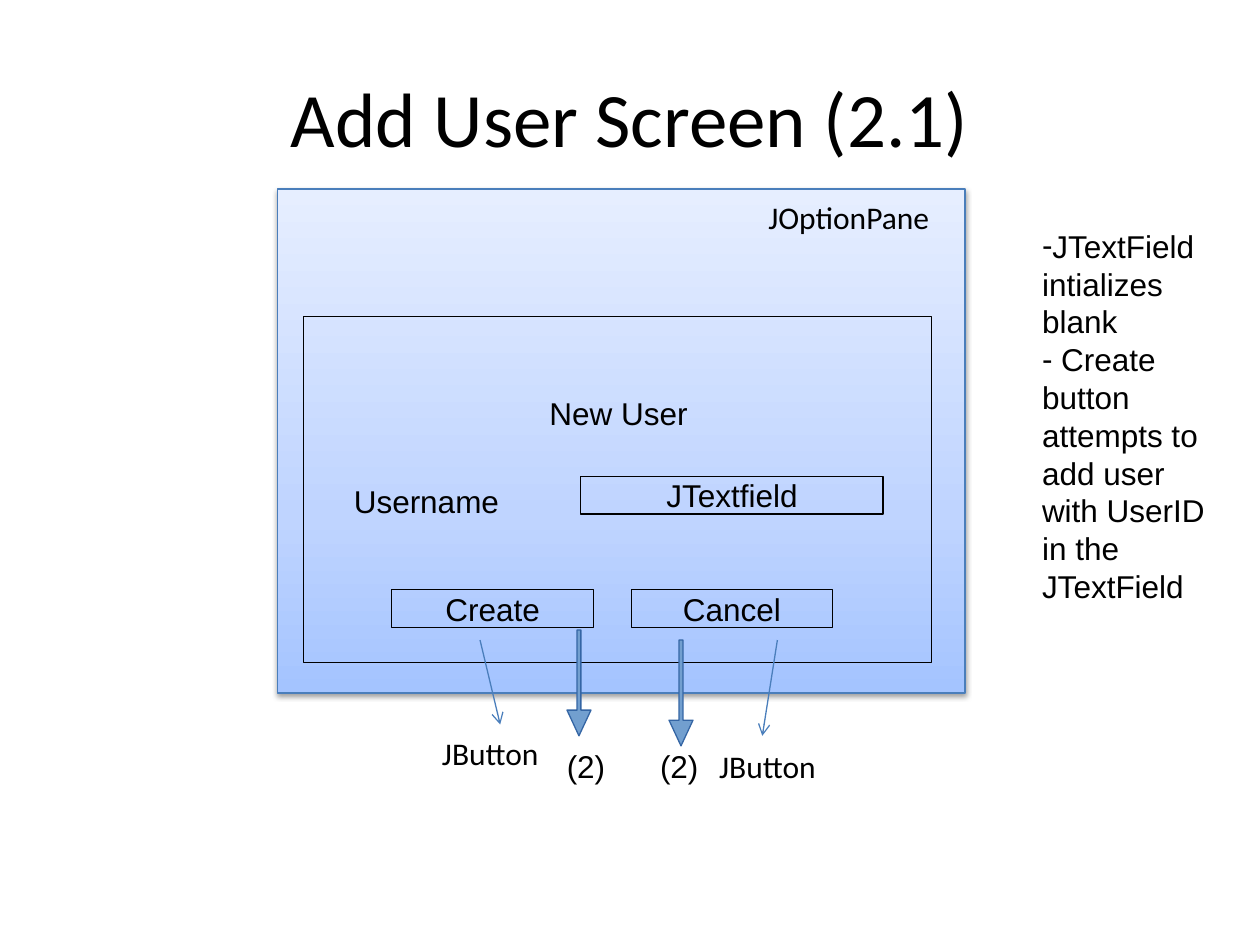
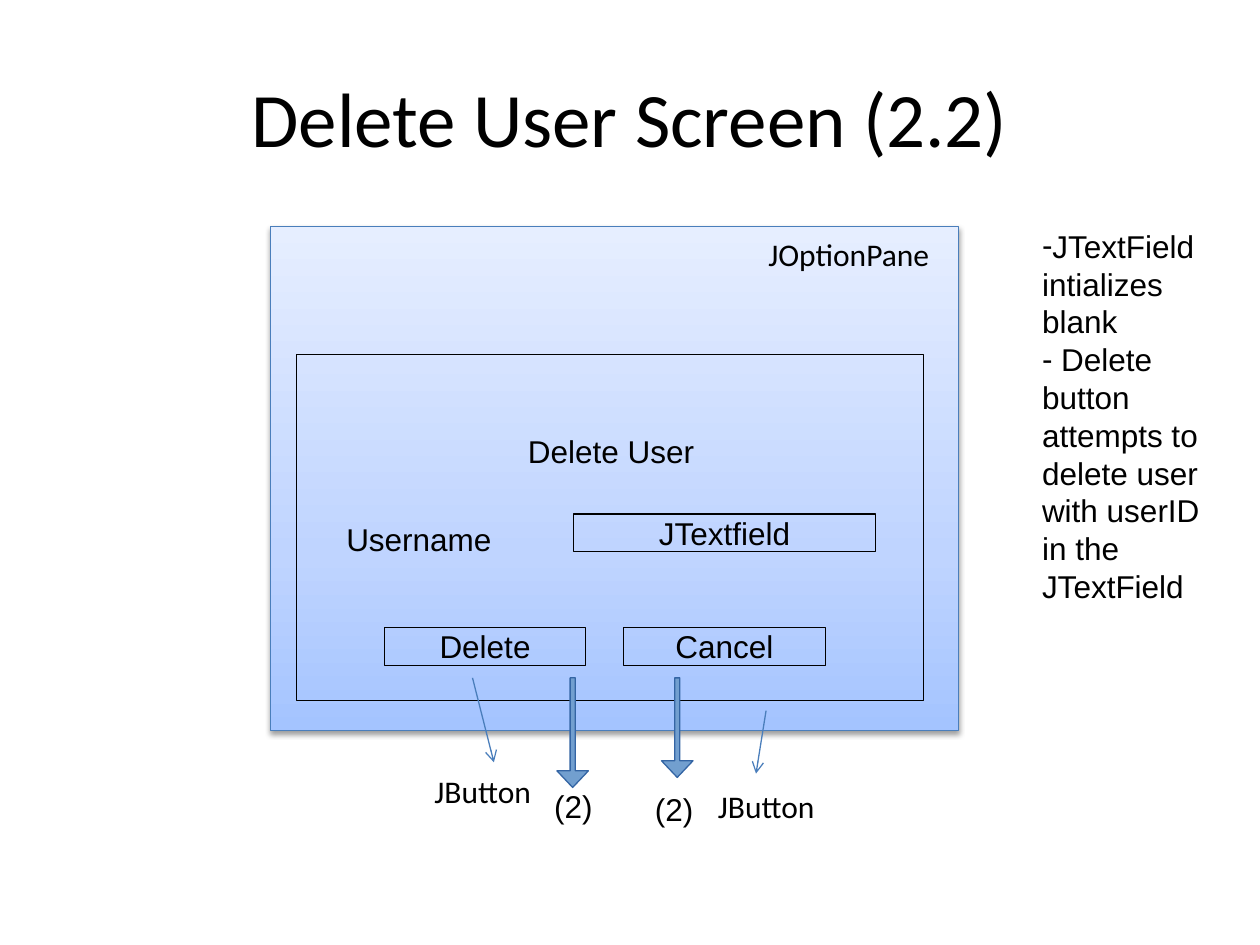
from copy import deepcopy
from pptx import Presentation
from pptx import util as u
from pptx.dml.color import RGBColor
from pptx.enum import shapes, text
from pptx.oxml import parse_xml
from pptx.oxml.ns import nsdecls, qn

prs = Presentation()
prs.slide_width, prs.slide_height = u.Inches(10), u.Inches(7.5)
COL, ROW = prs.slide_width / 100, prs.slide_height / 75
BLACK, EDGE, ARROW, ARROW_EDGE = "000000", "4A7EBB", "729FCF", "3465A4"
GRADIENT = [(0, "A4C4FF"), (0.35, "BFD4FF"), (1, "E6EEFF")]
SHADOW = (f'<a:effectLst {nsdecls("a")}><a:outerShdw blurRad="39370" dist="20320" dir="5400000" '
          'rotWithShape="0"><a:srgbClr val="000000"><a:alpha val="38000"/></a:srgbClr>'
          '</a:outerShdw></a:effectLst>')
rgb = RGBColor.from_string
LEFT, CENTER = text.PP_ALIGN.LEFT, text.PP_ALIGN.CENTER


def write(tf, lines, font="Arial", size=18, align=LEFT):
    for i, line in enumerate(lines):
        p = tf.paragraphs[0] if i == 0 else tf.add_paragraph()
        p.alignment = align
        r = p.add_run()
        r.text = line
        r.font.name, r.font.size = font, u.Pt(size)
        r.font.color.rgb = rgb(BLACK)


def add(s, kind, x, y, w, h, line=None, width=0.75, fill=None):
    box = [round(v) for v in (x * COL, y * ROW, w * COL, h * ROW)]
    if kind is None:
        sp = s.shapes.add_textbox(*box)
        sp.text_frame.word_wrap = True
        return sp
    sp = s.shapes.add_shape(kind, *box)
    sp.shadow.inherit = False
    sp.line.color.rgb, sp.line.width = rgb(line), u.Pt(width)
    if fill:
        sp.fill.solid()
        sp.fill.fore_color.rgb = rgb(fill)
    else:
        sp.fill.background()
    return sp


RECT, DOWN = shapes.MSO_SHAPE.RECTANGLE, shapes.MSO_SHAPE.DOWN_ARROW
screens = [
    dict(title="Add User Screen (2.1)", heading="New User", action="Create",
         note=" Create button attempts to add user with UserID in the JTextField",
         panel=(22, 15), origin=(24.1, 25.1), head=1.072,
         arrows=[(45, 50, 1.9, 8.4), (53.1, 50.8, 1.9, 8.4)],
         pointers=[(38.1, 50.8, 39.7, 57.5), (61.7, 50.8, 60.5, 58.4)],
         labels=[("JButton", 34.1, 57.8), ("JButton", 56.1, 58.8),
                 ("(2)", 44, 58.8), ("(2)", 51.4, 58.8)]),
    dict(title="Delete User Screen (2.2)", heading="Delete User", action="Delete",
         note=" Delete button attempts to delete user with userID in the JTextField",
         panel=(21.5, 18), origin=(23.5, 28.1), head=0.529,
         arrows=[(44.2, 53.8, 2.5, 8.7), (52.5, 53.8, 2.5, 7.9)],
         pointers=[(37.5, 53.8, 39.2, 60.5), (60.8, 56.4, 60, 61.4)],
         labels=[("JButton", 33.5, 60.8), ("JButton", 56, 62),
                 ("(2)", 43, 62), ("(2)", 51, 62.2)]),
]

for screen in screens:
    s = prs.slides.add_slide(prs.slide_layouts[1])
    title, notes = s.shapes.title, s.placeholders[1]

    title.left, title.top, title.width, title.height = [
        round(v) for v in (5 * COL, 3 * ROW, 90 * COL, 12.5 * ROW)]
    tf = title.text_frame
    tf.margin_left = tf.margin_right = tf.margin_top = tf.margin_bottom = 0
    tf.vertical_anchor = text.MSO_ANCHOR.MIDDLE
    write(tf, [screen["title"]], "Calibri", 44, CENTER)

    px, py = screen["panel"]
    panel = add(s, RECT, px, py, 54.6, 40, EDGE)
    panel.fill.gradient()
    panel.fill.gradient_angle = 90
    first = next(panel._element.iter(qn("a:gs")))
    first.addnext(deepcopy(first))
    for stop, (position, color) in zip(panel.fill.gradient_stops, GRADIENT):
        stop.position, stop.color.rgb = position, rgb(color)
    sppr = panel._element.spPr
    sppr.replace(sppr.find(qn("a:effectLst")), parse_xml(SHADOW))
    write(add(s, None, 60, py + 0.2, 16.4, 4).text_frame, ["JOptionPane"], "Calibri")

    ox, oy = screen["origin"]
    add(s, RECT, ox, oy, 49.8, 27.5, BLACK, 0.5)
    write(add(s, None, ox + 6, oy + 5.7, 38, 3.8).text_frame, [screen["heading"]], align=CENTER)
    write(add(s, None, ox + 3, oy + 12.7, 15, 3.8).text_frame, ["Username"])
    for label, dx, dy, w in [("JTextfield", 22, 12.7, 24), (screen["action"], 7, 21.7, 16),
                             ("Cancel", 26, 21.7, 16)]:
        tf = add(s, RECT, ox + dx, oy + dy, w, 3, BLACK).text_frame
        tf.word_wrap = False
        tf.vertical_anchor = text.MSO_ANCHOR.MIDDLE
        write(tf, [label], align=CENTER)

    for x1, y1, x2, y2 in screen["pointers"]:
        c = s.shapes.add_connector(shapes.MSO_CONNECTOR.STRAIGHT, round(x1 * COL),
                                   round(y1 * ROW), round(x2 * COL), round(y2 * ROW))
        c.line.color.rgb, c.line.width = rgb(EDGE), u.Pt(0.75)
        c.line._get_or_add_ln().append(parse_xml(f'<a:tailEnd {nsdecls("a")} type="arrow"/>'))
        c._element.spPr.append(parse_xml(f'<a:effectLst {nsdecls("a")}/>'))

    for arrow in screen["arrows"]:
        sp = add(s, DOWN, *arrow, ARROW_EDGE, fill=ARROW)
        sp.adjustments[0], sp.adjustments[1] = 0.162, screen["head"]

    for label, x, y in screen["labels"]:
        font = "Calibri" if label == "JButton" else "Arial"
        write(add(s, None, x, y, 10, 4).text_frame, [label], font)

    notes.left, notes.top, notes.width, notes.height = [
        round(v) for v in (81.7 * COL, 17.5 * ROW, 15.8 * COL, 31.3 * ROW)]
    tf = notes.text_frame
    tf.auto_size = text.MSO_AUTO_SIZE.NONE
    write(tf, ["JTextField intializes blank", screen["note"]])
    for p in tf.paragraphs:
        p.space_before = u.Pt(0)
        ppr = p._p.get_or_add_pPr()
        ppr.set("marL", "0")
        ppr.set("indent", "0")
        ppr.append(parse_xml(f'<a:buChar {nsdecls("a")} char="-"/>'))

prs.save("out.pptx")
